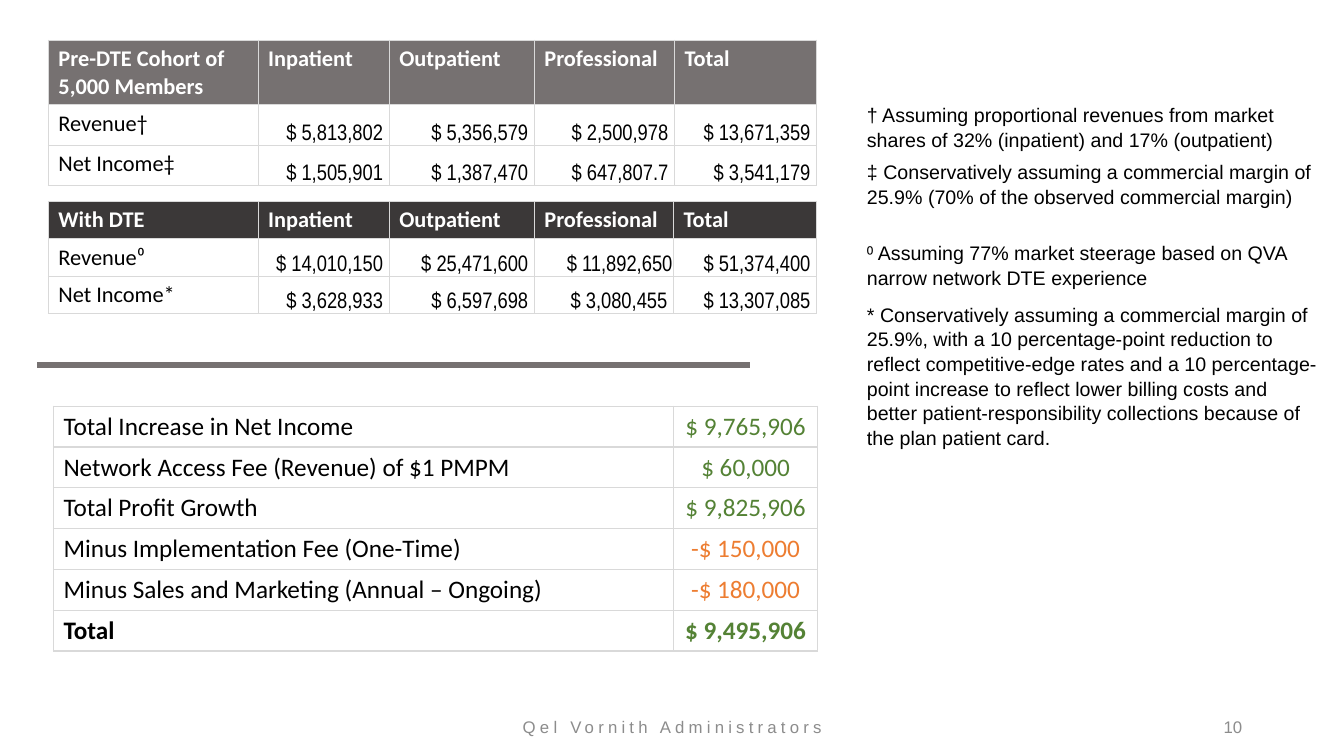
from dataclasses import dataclass

from lxml.etree import SubElement
from pptx import Presentation
from pptx.dml.color import RGBColor
from pptx.enum.shapes import MSO_CONNECTOR
from pptx.enum.text import MSO_ANCHOR as Anchor, PP_ALIGN as Align
from pptx.oxml.ns import qn
from pptx.slide import Slide
from pptx.table import Table, _Cell as Cell
from pptx.text.text import _Paragraph as Paragraph
from pptx.util import Inches, Pt

BLACK = "000000"
WHITE = "FFFFFF"
GREY = "767171"
CHARCOAL = "3B3838"
BORDER = "D9D9D9"
FOOTER = "8C8C8C"
GREEN = "548235"
ORANGE = "ED7D31"


@dataclass
class Cohort:
    top: float
    header_fill: str
    widths: list[float]
    heights: list[float]
    rows: list[list[str]]


@dataclass
class Note:
    top: float
    height: float
    text: str


@dataclass
class FooterText:
    left: float
    width: float
    text: str
    align: Align
    spacing: int = 0


COHORTS = [
    Cohort(0.4, GREY, [2.08, 1.3, 1.44, 1.39, 1.41], [0.64, 0.4, 0.4], [
        ["Pre-DTE Cohort of 5,000 Members", "Inpatient", "Outpatient", "Professional", "Total"],
        ["Revenue†", " $ 5,813,802 ", " $ 5,356,579 ", " $ 2,500,978 ", " $ 13,671,359 "],
        ["Net Income‡", " $ 1,505,901 ", " $ 1,387,470 ", " $ 647,807.7 ", " $ 3,541,179 "],
    ]),
    Cohort(2, CHARCOAL, [2.08, 1.3, 1.44, 1.38, 1.42], [0.37, 0.37, 0.37], [
        ["With DTE", "Inpatient", "Outpatient", "Professional", "Total"],
        ["Revenue⁰", " $ 14,010,150 ", " $ 25,471,600 ", " $ 11,892,650", " $ 51,374,400 "],
        ["Net Income*", " $ 3,628,933 ", " $ 6,597,698 ", " $ 3,080,455 ", " $ 13,307,085 "],
    ]),
]

PROFIT_ROWS = [
    ("Total Increase in Net Income", "$ 9,765,906"),
    ("Network Access Fee (Revenue) of $1 PMPM", "$ 60,000"),
    ("Total Profit Growth", "$ 9,825,906"),
    ("Minus Implementation Fee (One-Time)", "-$ 150,000"),
    ("Minus Sales and Marketing (Annual – Ongoing)", "-$ 180,000"),
    ("Total", "$ 9,495,906"),
]

NOTES = [
    Note(0.96, 0.57, "† Assuming proportional revenues from market shares of 32% (inpatient) and 17% (outpatient)"),
    Note(1.53, 0.57, "‡ Conservatively assuming a commercial margin of 25.9% (70% of the observed commercial margin)"),
    Note(2.33, 0.57, "⁰ Assuming 77% market steerage based on QVA narrow network DTE experience"),
    Note(2.94, 1.51, "* Conservatively assuming a commercial margin of 25.9%, with a 10 percentage-point reduction "
         "to reflect competitive-edge rates and a 10 percentage-point increase to reflect lower billing costs "
         "and better patient-responsibility collections because of the plan patient card."),
]

FOOTERS = [
    FooterText(4.42, 4.5, "Qel Vornith Administrators", Align.CENTER, 300),
    FooterText(9.42, 3, "10", Align.RIGHT),
]


def color(value: str) -> RGBColor:
    return RGBColor.from_string(value)


def format_text(para: Paragraph, font: str, size: int, ink: str, bold: bool = False) -> None:
    for run in para.runs:
        run.font.name = font
        run.font.size = Pt(size)
        run.font.color.rgb = color(ink)
        run.font.bold = bold


def add_borders(cell: Cell) -> None:
    properties = cell._tc.get_or_add_tcPr()
    for index, side in enumerate(("a:lnL", "a:lnR", "a:lnT", "a:lnB")):
        line = SubElement(properties, qn(side), w=str(Pt(1)))
        fill = SubElement(line, qn("a:solidFill"))
        SubElement(fill, qn("a:srgbClr"), val=BORDER)
        properties.remove(line)
        properties.insert(index, line)


def add_grid(page: Slide, left: float, top: float, widths: list[float], heights: list[float]) -> Table:
    table = page.shapes.add_table(len(heights), len(widths), Inches(left), Inches(top),
                                  Inches(sum(widths)), Inches(sum(heights))).table
    for column, width in zip(table.columns, widths):
        column.width = Inches(width)
    for row, height in zip(table.rows, heights):
        row.height = Inches(height)
    return table


def fill_cell(cell: Cell, text: str, fill: str = WHITE) -> Paragraph:
    cell.text_frame.text = text
    cell.fill.solid()
    cell.fill.fore_color.rgb = color(fill)
    add_borders(cell)
    return cell.text_frame.paragraphs[0]


def add_cohort(page: Slide, cohort: Cohort) -> None:
    table = add_grid(page, 0.48, cohort.top, cohort.widths, cohort.heights)
    for row, texts in enumerate(cohort.rows):
        for column, text in enumerate(texts):
            cell = table.cell(row, column)
            para = fill_cell(cell, text, WHITE if row else cohort.header_fill)
            if row and column:
                cell.vertical_anchor = Anchor.BOTTOM
                cell.margin_left = cell.margin_right = cell.margin_top = Inches(0.01)
                cell.margin_bottom = 0
                para.alignment = Align.RIGHT
                format_text(para, "Arial Narrow", 16, BLACK)
            else:
                format_text(para, "Calibri", 16, BLACK if row else WHITE, not row)


def add_profit(page: Slide) -> None:
    table = add_grid(page, 0.53, 4.03, [6.15, 1.43], [0.405] * len(PROFIT_ROWS))
    for row, (label, amount) in enumerate(PROFIT_ROWS):
        bold = label == "Total"
        format_text(fill_cell(table.cell(row, 0), label), "Calibri", 18, BLACK, bold)
        para = fill_cell(table.cell(row, 1), amount)
        para.alignment = Align.CENTER
        format_text(para, "Calibri", 18, ORANGE if amount.startswith("-") else GREEN, bold)


def add_text(page: Slide, left: float, top: float, width: float, height: float,
             text: str, size: int, ink: str) -> Paragraph:
    box = page.shapes.add_textbox(Inches(left), Inches(top), Inches(width), Inches(height))
    box.text_frame.word_wrap = True
    box.text_frame.text = text
    para = box.text_frame.paragraphs[0]
    format_text(para, "Arial", size, ink)
    return para


def add_footer(page: Slide, footer: FooterText) -> None:
    para = add_text(page, footer.left, 7.08, footer.width, 0.27, footer.text, 12, FOOTER)
    para.alignment = footer.align
    page.shapes[-1].text_frame.vertical_anchor = Anchor.MIDDLE
    if footer.spacing:
        para.runs[0]._r.get_or_add_rPr().set("spc", str(footer.spacing))


def add_divider(page: Slide) -> None:
    divider = page.shapes.add_connector(MSO_CONNECTOR.STRAIGHT, Inches(0.37), Inches(3.62),
                                        Inches(7.44), Inches(3.62))
    divider.line.color.rgb = color(GREY)
    divider.line.width = Pt(4.5)
    SubElement(divider._element.spPr, qn("a:effectLst"))


def main() -> None:
    deck = Presentation()
    deck.slide_width, deck.slide_height = Inches(13.33), Inches(7.5)
    page = deck.slides.add_slide(deck.slide_layouts[6])
    for footer in FOOTERS:
        add_footer(page, footer)
    for cohort in COHORTS:
        add_cohort(page, cohort)
    add_divider(page)
    add_profit(page)
    for note in NOTES:
        add_text(page, 8.5, note.top, 4.72, note.height, note.text, 14, BLACK).line_spacing = 1.05
    deck.save("out.pptx")


if __name__ == "__main__":
    main()
